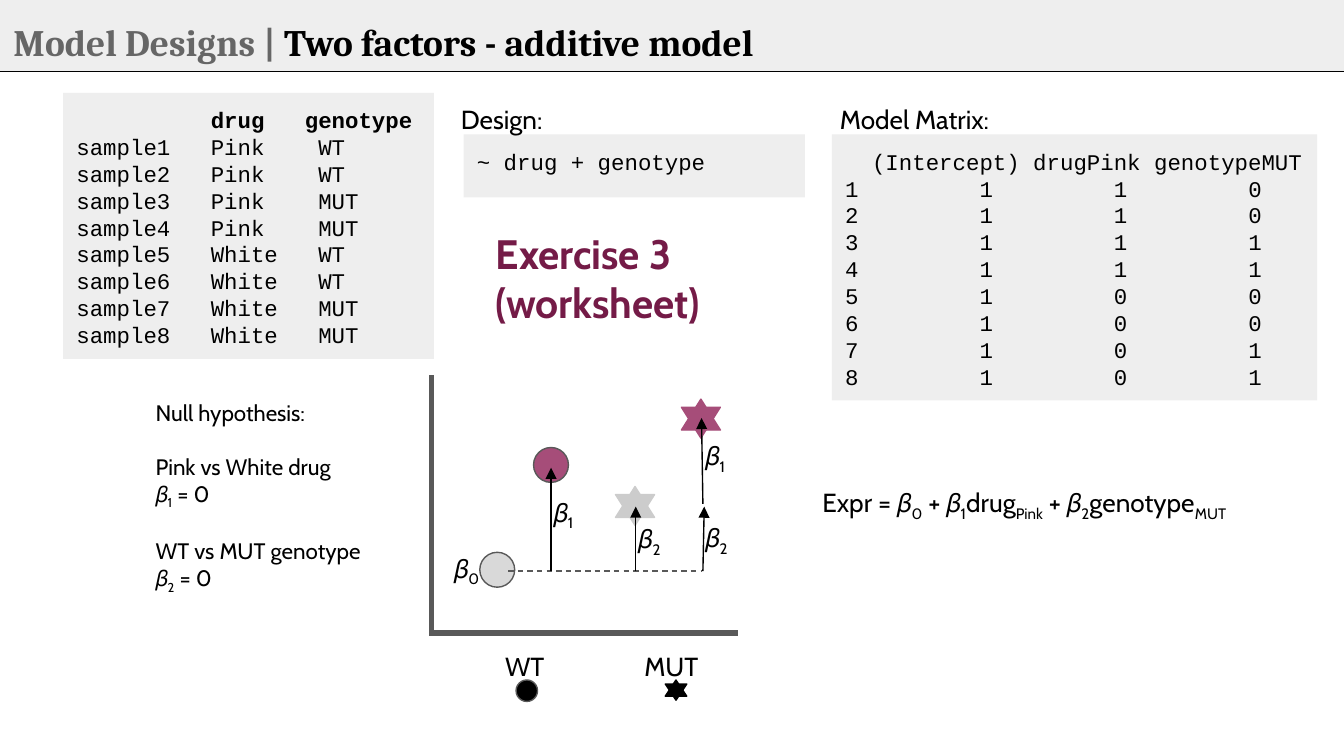
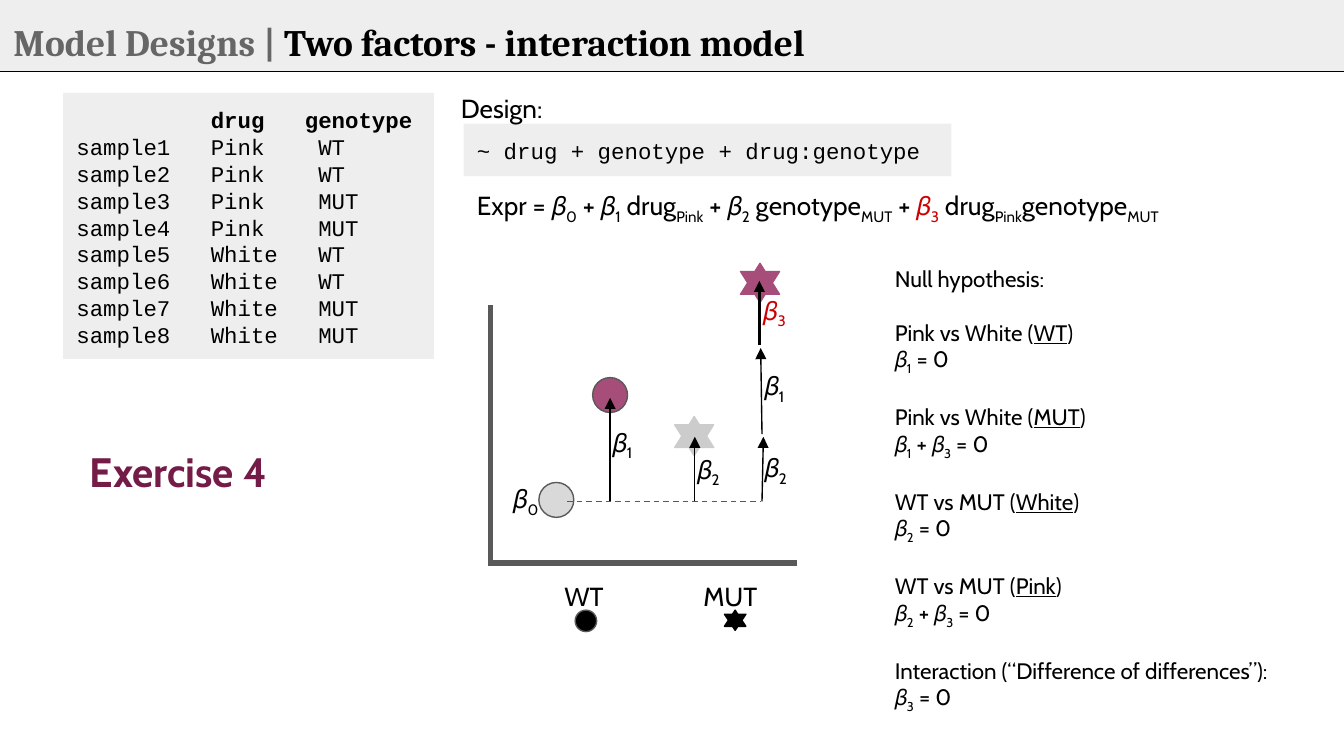
from pptx import Presentation
from pptx.dml.color import RGBColor
from pptx.enum.dml import MSO_LINE
from pptx.enum.shapes import MSO_CONNECTOR, MSO_SHAPE
from pptx.enum.text import MSO_ANCHOR, MSO_AUTO_SIZE, PP_ALIGN
from pptx.oxml.ns import qn
from pptx.util import Emu, Pt
from lxml.etree import SubElement

# Content. Marks in text: {subscript}, [underlined], <red>.
SECTION = "Model Designs | "
SAMPLES = [(f"sample{i + 1}", drug, genotype) for i, (drug, genotype) in enumerate(
    (d, g) for d in ("Pink", "White") for g in ("WT", "MUT") for _ in range(2))]
MATRIX = [(i + 1, 1, int(drug == "Pink"), int(genotype == "MUT"))
          for i, (_, drug, genotype) in enumerate(SAMPLES)]

ADDITIVE = {
    "title": "Two factors - additive model",
    "design": ("~ drug + genotype", (345, 100, 254, 47)),
    "expr": ("Expr = 𝛽{0} + 𝛽{1}drug{Pink} + 𝛽{2}genotype{MUT}", (602, 352, 331, 47)),
    "null": ((106, 287, 224, 174), [("Pink vs White drug", "𝛽{1} = 0"),
                                    ("WT vs MUT genotype", "𝛽{2} = 0")]),
    "exercise": ("Exercise 3 (worksheet)", (359, 160, 211, 94)),
    "plot": (320, 473),
}
INTERACTION = {
    "title": "Two factors - interaction model",
    "design": ("~ drug + genotype + drug:genotype", (345, 92, 363, 39)),
    "expr": ("Expr = 𝛽{0} + 𝛽{1} drug{Pink} + 𝛽{2} genotype{MUT} + "
             "<𝛽{3}> drug{Pink}genotype{MUT}", (345, 131, 615, 57)),
    "null": ((656, 187, 321, 353), [
        ("Pink vs White ([WT])", "𝛽{1} = 0"),
        ("Pink vs White ([MUT])", "𝛽{1} + 𝛽{3} = 0"),
        ("WT vs MUT ([White])", "𝛽{2} = 0"),
        ("WT vs MUT ([Pink])", "𝛽{2} + 𝛽{3} = 0"),
        ("Interaction (“Difference of differences”):", "𝛽{3} = 0")]),
    "exercise": ("Exercise 4", (57, 322, 211, 57)),
    "plot": (364, 421),
}

# Plot parts, measured from the corner of the axes.
BASE = -48
AXES = [((0, -2), (229, -2)), ((1, 0), (1, -194))]
ARROWS = [((153, BASE), (153, -96)), ((203, BASE), (204, -96)),
          ((203, -98), (202, -162)), ((90, BASE), (90, -125))]
BETAS = [("𝛽{0}", 8, -72), ("𝛽{1}", 82, -114), ("𝛽{2}", 145, -94),
         ("𝛽{2}", 195, -95), ("𝛽{1}", 195, -156)]
INTERACTION_BETA = ("<𝛽{3}>", 194, -212)
INTERACTION_ARROW = ((201, -164), (201, -212))
CATEGORIES = [("WT", 30), ("MUT", 139)]

BLACK, GREY, PANEL, AXIS = "000000", "666666", "EEEEEE", "595959"
PINK, WHITE_DRUG, STAR_GREY, PLUM, RED = "A64D79", "D9D9D9", "CCCCCC", "741B47", "CC0000"
TITLE = {"name": "Cambria", "size": Pt(20), "bold": True}
CODE = {"name": "Courier New", "size": Pt(12)}
NOTE = {"name": "Cabin", "size": Pt(12)}
LABEL = {"name": "Cabin", "size": Pt(14)}
EXERCISE = {"name": "Cabin", "size": Pt(22), "bold": True}
CODE_PITCH, GROUP_GAP = Pt(14.4), Pt(14.5)
MARKS = {"{": "sub", "[": "underline", "<": "red"}
CLOSERS = {"}": "sub", "]": "underline", ">": "red"}


def px(n):
    """Slide units, 100 to the inch."""
    return Emu(round(n * 9144))


def rgb(color):
    return RGBColor.from_string(color)


def set_all(obj, values):
    for name, value in values.items():
        setattr(obj, name, value)


def add_run(p, text, font, color=BLACK):
    r = p.add_run()
    r.text = text
    set_all(r.font, font)
    r.font.color.rgb = rgb(color)
    return r


def add_marked(p, text, font, color=BLACK):
    """Split marked text into formatted runs."""
    active, part = set(), ""

    def flush():
        if part:
            r = add_run(p, part, font, RED if "red" in active else color)
            if "underline" in active:
                r.font.underline = True
            if "sub" in active:
                r.font._element.set("baseline", "-25000")

    for ch in text:
        if ch in MARKS or ch in CLOSERS:
            flush()
            part = ""
            if ch in MARKS:
                active.add(MARKS[ch])
            else:
                active.discard(CLOSERS[ch])
        else:
            part += ch
    flush()


def set_frame(tf):
    set_all(tf, {"word_wrap": True, "auto_size": MSO_AUTO_SIZE.NONE,
                 "vertical_anchor": MSO_ANCHOR.TOP, "margin_left": px(10),
                 "margin_right": px(10), "margin_top": px(10), "margin_bottom": px(10)})


def paragraphs(tf, count):
    return [tf.paragraphs[0]] + [tf.add_paragraph() for _ in range(count - 1)]


def add_text(s, box, lines, font, color=BLACK, align=PP_ALIGN.LEFT):
    tf = s.shapes.add_textbox(*map(px, box)).text_frame
    set_frame(tf)
    ps = paragraphs(tf, len(lines))
    for p, line in zip(ps, lines):
        p.alignment = align
        add_marked(p, line, font, color)
    return ps


def add_shape(shapes, kind, box, fill, line=None):
    sp = shapes.add_shape(kind, *map(px, box))
    sp.shadow.inherit = False
    sp.fill.solid()
    sp.fill.fore_color.rgb = rgb(fill)
    if line:
        sp.line.color.rgb = rgb(line)
        sp.line.width = Pt(0.75)
    else:
        sp.line.fill.background()
    return sp


def add_line(s, start, end, color=BLACK, width=0.75, dash=None, arrow=False):
    c = s.shapes.add_connector(MSO_CONNECTOR.STRAIGHT, *map(px, start + end))
    c.line.color.rgb = rgb(color)
    c.line.width = Pt(width)
    if dash:
        c.line.dash_style = dash
    if arrow:
        SubElement(c.line._get_or_add_ln(), qn("a:tailEnd"), type="triangle")
    SubElement(c._element.spPr, qn("a:effectLst"))
    return c


def add_code(s, box, rows, head_tabs=(), tabs=(), bold_head=False):
    """Grey panel of monospaced rows, aligned with tab stops."""
    tf = add_shape(s.shapes, MSO_SHAPE.RECTANGLE, box, PANEL).text_frame
    set_frame(tf)
    for i, (p, row) in enumerate(zip(paragraphs(tf, len(rows)), rows)):
        set_all(p, {"alignment": PP_ALIGN.LEFT, "line_spacing": CODE_PITCH})
        stops = tabs if i else head_tabs
        if stops:
            tab_list = SubElement(p._p.get_or_add_pPr(), qn("a:tabLst"))
            for stop in stops:
                SubElement(tab_list, qn("a:tab"), pos=str(px(stop)), algn="l")
        add_run(p, "\t".join(map(str, row)), {**CODE, "bold": bold_head and i == 0})


def add_star(s, x, y, color, w=29, h=23, drop=6):
    """Six-pointed star from an upright and an inverted triangle."""
    group = s.shapes.add_group_shape()
    for dy, angle in ((0, 0), (drop, 180)):
        sp = add_shape(group.shapes, MSO_SHAPE.ISOSCELES_TRIANGLE, (x, y + dy, w, h), color, color)
        sp.rotation = angle


def add_plot(s, origin, interaction):
    ox, oy = origin

    def at(x, y):
        return ox + x, oy + y

    def circle(x, y, d, fill):
        add_shape(s.shapes, MSO_SHAPE.OVAL, (*at(x, y), d, d), fill, AXIS)

    circle(37, -62, 26, WHITE_DRUG)
    circle(77, -140, 26, PINK)
    circle(64, 33, 16, BLACK)
    add_star(s, *at(138, -111), STAR_GREY)
    add_star(s, *at(187, -225 if interaction else -176), PINK)
    add_star(s, *at(175, 33), BLACK, 16, 12, 3)
    add_line(s, at(58, BASE), at(202, BASE), AXIS, dash=MSO_LINE.DASH)
    for start, end in ARROWS:
        add_line(s, at(*start), at(*end), arrow=True)
    for start, end in AXES:
        add_line(s, at(*start), at(*end), AXIS, 3)
    if interaction:
        start, end = INTERACTION_ARROW
        add_line(s, at(*start), at(*end), width=1.5, arrow=True)
    for text, x, y in BETAS + [INTERACTION_BETA] * interaction:
        add_text(s, (*at(x, y), 65, 57), [text], LABEL)
    for text, x in CATEGORIES:
        add_text(s, (*at(x, 1), 81, 44), [text], LABEL, align=PP_ALIGN.CENTER)


def style_layout(layout, s):
    """Put the title style and header band on the layout, drawing the band through slide s."""
    title = layout.placeholders[0]
    set_all(title, {"left": px(0), "top": px(4), "width": px(932), "height": px(63)})
    set_frame(title.text_frame)
    band = add_shape(s.shapes, MSO_SHAPE.RECTANGLE, (0, 0, 1000, 53), PANEL)
    rule = add_line(s, (-1, 53), (1001, 53))
    for i, part in enumerate((band, rule)):
        part._element.xpath(".//p:cNvPr")[0].set("id", str(100 + i))
        layout.shapes._spTree.insert(2 + i, part._element)


def add_content(s, data):
    tf = s.shapes.title.text_frame
    set_frame(tf)
    p = tf.paragraphs[0]
    p.alignment = PP_ALIGN.LEFT
    add_run(p, SECTION, TITLE, GREY)
    add_run(p, data["title"], TITLE)

    add_code(s, (47, 69, 276, 198), [("", "drug", "genotype")] + SAMPLES,
             (100, 170), (100, 180), bold_head=True)
    design, box = data["design"]
    add_code(s, box, [(design,)])
    add_text(s, (333, box[1] - 33, 91, 47), ["Design:"], LABEL)
    expr, box = data["expr"]
    add_text(s, box, [expr], LABEL)

    box, tests = data["null"]
    ps = add_text(s, box, ["Null hypothesis:"] + [line for test in tests for line in test], NOTE)
    for p in ps[1::2]:
        p.space_before = GROUP_GAP

    exercise, box = data["exercise"]
    add_text(s, box, [exercise], EXERCISE, PLUM)
    add_plot(s, data["plot"], data is INTERACTION)


def main():
    prs = Presentation()
    prs.slide_width, prs.slide_height = px(1000), px(562.5)
    layout = prs.slide_layouts[5]
    additive, interaction = (prs.slides.add_slide(layout) for _ in range(2))
    style_layout(layout, additive)
    add_content(additive, ADDITIVE)
    add_text(additive, (615, 67, 195, 47), ["Model Matrix:"], LABEL)
    add_code(additive, (619, 100, 361, 198),
             [("", "(Intercept) drugPink genotypeMUT")] + MATRIX, (20,), (100, 200, 300))
    add_content(interaction, INTERACTION)
    prs.save("out.pptx")


if __name__ == "__main__":
    main()
